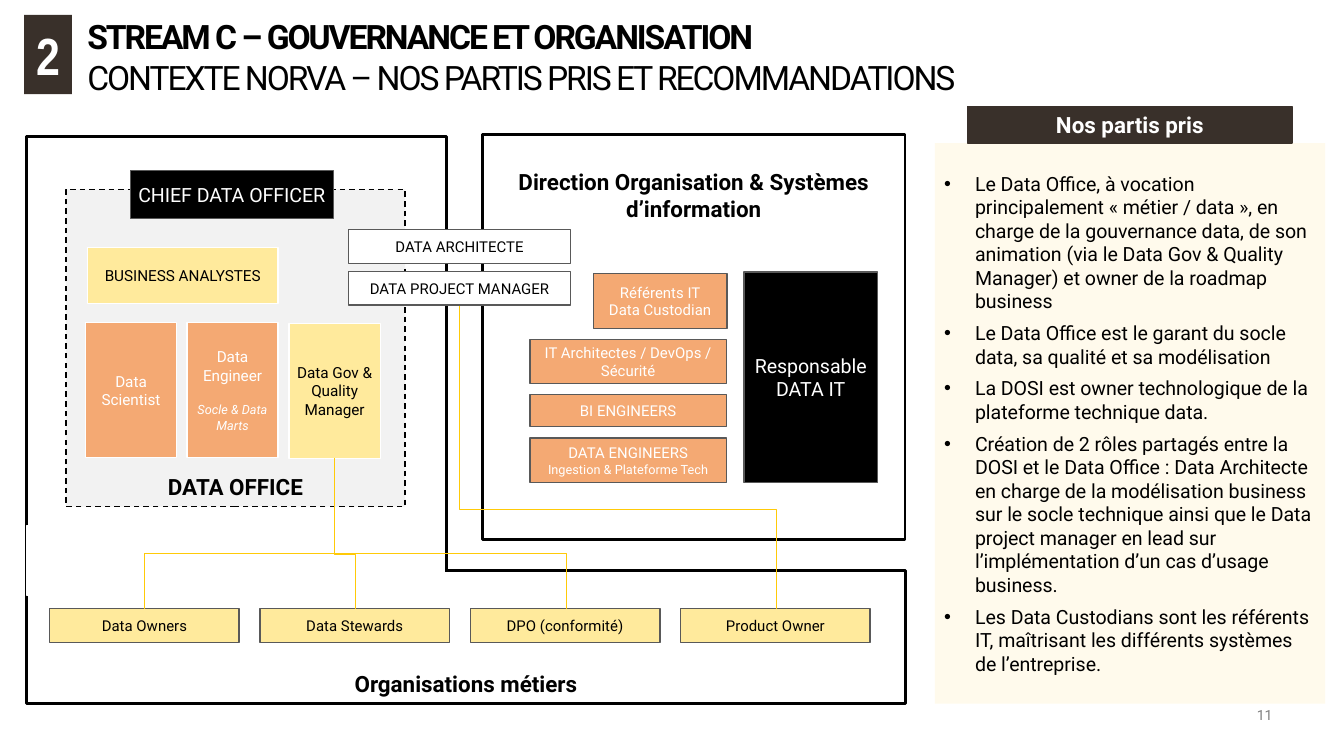
"""Build the data governance and organisation slide."""
from lxml.etree import SubElement
from pptx import Presentation
from pptx.dml.color import RGBColor
from pptx.enum.dml import MSO_LINE
from pptx.enum.shapes import MSO_CONNECTOR, MSO_SHAPE
from pptx.enum.text import MSO_ANCHOR, MSO_AUTO_SIZE, PP_ALIGN
from pptx.oxml.ns import qn
from pptx.util import Pt

PX = 4572
COLORS = {"black": "000000", "white": "FFFFFF", "brown": "39302A", "cream": "FFF4CE",
          "yellow": "FFEA9C", "orange": "F4A973", "gold": "FFCA08", "pale": "F2F2F2",
          "border": "595959", "grey": "808080"}
RGB = {name: RGBColor.from_string(value) for name, value in COLORS.items()}
HEADING = {"size": Pt(12), "bold": True}


def write_lines(frame, lines, color, formats, align=PP_ALIGN.CENTER, **frame_values):
    values = {"word_wrap": True, "auto_size": MSO_AUTO_SIZE.NONE,
              "margin_left": 0, "margin_right": 0, **frame_values}
    for key, value in values.items():
        setattr(frame, key, value)
    for index, line in enumerate(lines):
        paragraph = frame.paragraphs[0] if index == 0 else frame.add_paragraph()
        paragraph.alignment = align
        paragraph.space_before = Pt(0)
        run = paragraph.add_run()
        run.text = line
        run.font.color.rgb = RGB[color]
        for key, value in {"name": "Roboto", **formats}.items():
            setattr(run.font, key, value)


def add_box(lines, bounds, fill, border, color="black", formats=HEADING,
            anchor=MSO_ANCHOR.MIDDLE, weight=0.75, margin_top=10):
    shape = slide.shapes.add_shape(MSO_SHAPE.RECTANGLE, *(value * PX for value in bounds))
    shape.shadow.inherit = False
    shape.fill.solid()
    shape.fill.fore_color.rgb = RGB[fill]
    shape.line.color.rgb = RGB[border]
    shape.line.width = Pt(weight)
    write_lines(shape.text_frame, lines, color, formats, vertical_anchor=anchor,
                margin_top=margin_top * PX, margin_bottom=10 * PX)
    return shape


presentation = Presentation()
presentation.slide_width = 2000 * PX
presentation.slide_height = 1125 * PX
slide = presentation.slides.add_slide(presentation.slide_layouts[1])
title, body = slide.placeholders

for placeholder, bounds in ((title, (130, 24, 1670, 122)), (body, (1391, 213, 581, 834))):
    for side, value in zip(("left", "top", "width", "height"), bounds):
        setattr(placeholder, side, value * PX)

write_lines(title.text_frame,
            ["STREAM C – GOUVERNANCE ET ORGANISATION",
             "CONTEXTE NORVA – NOS PARTIS PRIS ET RECOMMANDATIONS"],
            "black", {"size": Pt(18)}, PP_ALIGN.LEFT,
            vertical_anchor=MSO_ANCHOR.TOP, margin_top=0, margin_bottom=0)
for paragraph, bold in zip(title.text_frame.paragraphs, (True, False)):
    paragraph.runs[0].font.bold = bold
    paragraph.runs[0]._r.get_or_add_rPr().set("spc", "-110")

positions = [
    "Le Data Office, à vocation principalement « métier / data », en charge de la gouvernance "
    "data, de son animation (via le Data Gov & Quality Manager) et owner de la roadmap business",
    "Le Data Office est le garant du socle data, sa qualité et sa modélisation",
    "La DOSI est owner technologique de la plateforme technique data.",
    "Création de 2 rôles partagés entre la DOSI et le Data Office : Data Architecte en charge de "
    "la modélisation business sur le socle technique ainsi que le Data project manager en lead "
    "sur l’implémentation d’un cas d’usage business.",
    "Les Data Custodians sont les référents IT, maîtrisant les différents systèmes de "
    "l’entreprise.",
]
body.fill.solid()
body.fill.fore_color.rgb = RGB["cream"]
SubElement(body._element.spPr.find(".//" + qn("a:srgbClr")), qn("a:alpha"), val="38000")
write_lines(body.text_frame, positions, "black", {"size": Pt(10.5)}, PP_ALIGN.LEFT,
            vertical_anchor=MSO_ANCHOR.MIDDLE, margin_left=14 * PX, margin_right=14 * PX,
            margin_top=8 * PX, margin_bottom=8 * PX)
for paragraph in body.text_frame.paragraphs:
    paragraph.space_after = Pt(4.5)
    properties = paragraph._p.get_or_add_pPr()
    properties.set("marL", str(46 * PX))
    properties.set("indent", str(-46 * PX))
    bullet_color = SubElement(properties, qn("a:buClr"))
    SubElement(bullet_color, qn("a:srgbClr"), val=COLORS["black"])
    SubElement(properties, qn("a:buChar"), char="•")

page_number = slide.shapes.add_textbox(1832 * PX, 1051 * PX, 62 * PX, 26 * PX)
write_lines(page_number.text_frame, ["11"], "grey", {"size": Pt(7.5)}, PP_ALIGN.RIGHT,
            vertical_anchor=MSO_ANCHOR.BOTTOM, margin_top=0, margin_bottom=0)

add_box([], (40, 203, 625, 646), "white", "black", weight=1.5)
data_office = add_box(["DATA OFFICE"], (98, 282, 505, 472), "pale", "black",
                      anchor=MSO_ANCHOR.BOTTOM)
data_office.line.dash_style = MSO_LINE.DASH
add_box(["Nos partis pris"], (1440, 159, 483, 54), "brown", "brown", "white")
add_box(["Direction Organisation & Systèmes d’information"], (718, 200, 629, 603),
        "white", "black", anchor=MSO_ANCHOR.TOP, weight=1.5, margin_top=50)
add_box(["Organisations métiers"], (40, 849, 1307, 198), "white", "black",
        anchor=MSO_ANCHOR.BOTTOM, weight=1.5)
add_box([], (40, 782, 622, 104), "white", "white")

leader_format = {"size": Pt(10.5)}
add_box(["CHIEF DATA OFFICER"], (194, 254, 302, 71), "black", "border", "white", leader_format)
add_box(["Responsable DATA IT"], (1107, 405, 199, 313), "black", "border", "white",
        leader_format)

role_format = {"size": Pt(8)}
business_roles = ["Data Owners", "Data Stewards", "DPO (conformité)", "Product Owner"]
for index, role in enumerate(business_roles):
    add_box([role], (74 + 313 * index, 906, 282, 50), "yellow", "border", formats=role_format)

it_roles = [
    (["Référents IT", "Data Custodian"], (883, 407, 199, 82)),
    (["IT Architectes / DevOps / Sécurité"], (789, 505, 292, 66)),
    (["BI ENGINEERS"], (789, 587, 292, 48)),
    (["DATA ENGINEERS", "Ingestion & Plateforme Tech"], (789, 652, 292, 66)),
]
for lines, bounds in it_roles:
    it_box = add_box(lines, bounds, "orange", "border", "white", role_format)
it_box.text_frame.paragraphs[1].runs[0].font.size = Pt(6.8)

office_format = {"size": Pt(8.2)}
office_roles = [
    (["BUSINESS ANALYSTES"], (130, 368, 284, 84), "yellow", "black"),
    (["Data Gov & Quality Manager"], (430, 481, 136, 201), "yellow", "black"),
    (["Data Scientist"], (127, 480, 136, 201), "orange", "white"),
    (["Data Engineer", "Socle & Data Marts"], (278, 480, 136, 201), "orange", "white"),
]
for lines, bounds, fill, color in office_roles:
    engineer = add_box(lines, bounds, fill, "white", color, office_format)
detail = engineer.text_frame.paragraphs[1]
detail.space_before = Pt(9.6)
detail.runs[0].font.size = Pt(6.8)
detail.runs[0].font.italic = True

links = [(498, 682, 215, 63300), (498, 682, 529, 63900), (498, 682, 843, 63300),
         (684, 455, 1156, 67300)]
for start_x, start_y, end_x, bend in links:
    drop, shift = 906 - start_y, abs(end_x - start_x)
    left = (start_x + end_x - drop) * PX // 2
    top = (start_y + 906 - shift) * PX // 2
    link = slide.shapes.add_connector(MSO_CONNECTOR.ELBOW, left, top,
                                      left + drop * PX, top + shift * PX)
    link.line.color.rgb = RGB["gold"]
    link.line.width = Pt(0.75)
    link_properties = link._element.spPr
    SubElement(link_properties, qn("a:effectLst"))
    transform = link_properties.find(qn("a:xfrm"))
    if end_x < start_x:
        transform.set("rot", "5400000")
    else:
        transform.set("rot", "16200000")
        transform.set("flipH", "1")
    adjustments = link_properties.find(".//" + qn("a:avLst"))
    SubElement(adjustments, qn("a:gd"), name="adj1", fmla=f"val {bend}")

for index, role in enumerate(["DATA ARCHITECTE", "DATA PROJECT MANAGER"]):
    add_box([role], (519, 342 + 62 * index, 330, 50), "white", "border", formats=role_format)

section = add_box(["2"], (36, 22, 71, 118), "brown", "brown", "white",
                  {"name": "Arial Narrow", "size": Pt(28), "bold": True})
section.line.fill.background()

presentation.save("out.pptx")
